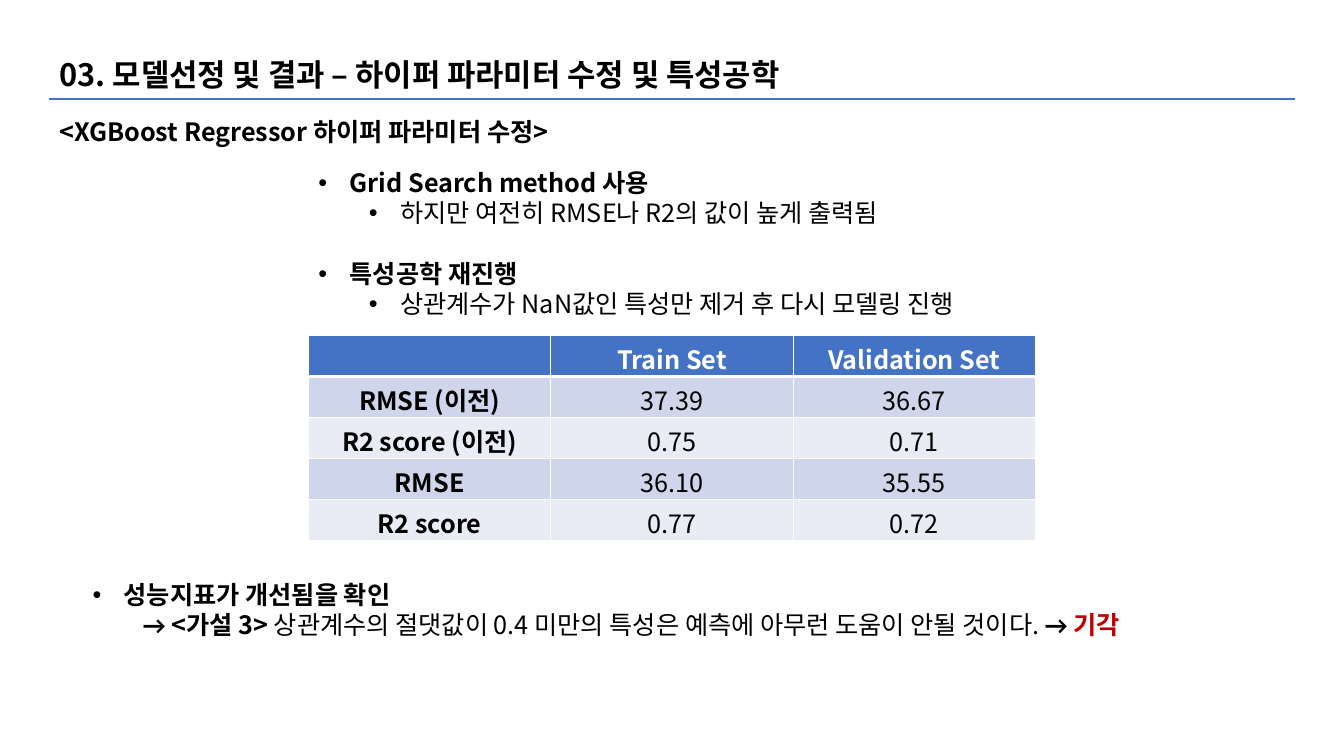
from pptx import Presentation
from pptx.dml.color import RGBColor
from pptx.enum.shapes import MSO_CONNECTOR
from pptx.enum.text import MSO_ANCHOR, MSO_AUTO_SIZE, PP_ALIGN
from pptx.oxml.ns import qn
from pptx.util import Inches, Pt
from lxml.etree import SubElement

BLACK = RGBColor(0x00, 0x00, 0x00)
WHITE = RGBColor(0xFF, 0xFF, 0xFF)
BLUE = RGBColor(0x44, 0x72, 0xC4)
BAND_DARK = RGBColor(0xCF, 0xD5, 0xEA)
BAND_LIGHT = RGBColor(0xE9, 0xEB, 0xF5)
RED = RGBColor(0xC0, 0x00, 0x00)
FONT = "Noto Sans CJK KR"
ARROW_FONT = "Calibri"


def style_run(r, size=18, bold=True, color=BLACK, font=FONT):
    r.font.size = Pt(size)
    r.font.bold = bold
    r.font.color.rgb = color
    r.font.name = font
    SubElement(r._r.get_or_add_rPr(), qn("a:ea"), typeface=font)


def set_indent(p, left, hanging=0.0, bullet=False):
    pPr = p._p.get_or_add_pPr()
    pPr.set("marL", str(Inches(left)))
    pPr.set("indent", str(Inches(-hanging)))
    if bullet:
        SubElement(pPr, qn("a:buFont"), typeface="Arial")
        SubElement(pPr, qn("a:buChar"), char="•")


def add_textbox(s, box):
    tf = s.shapes.add_textbox(*map(Inches, box)).text_frame
    tf.word_wrap = True
    return tf


def add_bullet(p, text, level=0):
    p.text = text
    p.level = level
    set_indent(p, 0.31 + 0.5 * level, 0.31, bullet=True)
    style_run(p.runs[0], bold=level == 0)


def add_header(s, box, title):
    """Slide title with a rule under it."""
    left, top, width, height = box
    s.shapes.title.left, s.shapes.title.top = Inches(left), Inches(top)
    s.shapes.title.width, s.shapes.title.height = Inches(8.7), Inches(height)
    tf = s.shapes.title.text_frame
    tf.text = title
    tf.word_wrap = True
    tf.auto_size = MSO_AUTO_SIZE.NONE
    tf.vertical_anchor = MSO_ANCHOR.TOP
    tf.paragraphs[0].alignment = PP_ALIGN.LEFT
    style_run(tf.paragraphs[0].runs[0], size=22)

    y = Inches(top + height + 0.01)
    rule = s.shapes.add_connector(MSO_CONNECTOR.STRAIGHT, Inches(left), y,
                                  Inches(left + width), y)
    rule.line.color.rgb = BLUE
    rule.line.width = Pt(1.5)
    SubElement(rule._element.spPr, qn("a:effectLst"))


def add_subtitle(s, box, text):
    p = add_textbox(s, box).paragraphs[0]
    p.text = text
    style_run(p.runs[0])


def add_steps(s, box, steps):
    """Bold steps, each with one detail below."""
    tf = add_textbox(s, box)
    for i, (step, detail) in enumerate(steps):
        p = tf.add_paragraph() if i else tf.paragraphs[0]
        add_bullet(p, step)
        if i:
            p.space_before = Pt(21.9)
        add_bullet(tf.add_paragraph(), detail, level=1)


def format_cell(cell, fill, bottom):
    tcPr = cell._tc.get_or_add_tcPr()
    for side, width in (("L", 1), ("R", 1), ("T", 1), ("B", bottom)):
        ln = SubElement(tcPr, qn(f"a:ln{side}"), w=str(Pt(width)))
        solid = SubElement(ln, qn("a:solidFill"))
        SubElement(solid, qn("a:srgbClr"), val=str(WHITE))
    cell.fill.solid()
    cell.fill.fore_color.rgb = fill


def add_score_table(s, box, rows):
    shape = s.shapes.add_table(len(rows), len(rows[0]), *map(Inches, box))
    for i, row in enumerate(rows):
        header = i == 0
        fill = BLUE if header else (BAND_LIGHT, BAND_DARK)[i % 2]
        for j, text in enumerate(row):
            cell = shape.table.cell(i, j)
            format_cell(cell, fill, bottom=3 if header else 1)
            if text:
                p = cell.text_frame.paragraphs[0]
                p.text = text
                p.alignment = PP_ALIGN.CENTER
                style_run(p.runs[0], bold=header or j == 0,
                          color=WHITE if header else BLACK)


def add_conclusion(s, box, finding, parts):
    """Finding, then the hypothesis and its verdict in mixed formats."""
    tf = add_textbox(s, box)
    add_bullet(tf.paragraphs[0], finding)
    p = tf.add_paragraph()
    p.level = 1
    set_indent(p, 0.5)
    for text, formats in parts:
        r = p.add_run()
        r.text = text
        style_run(r, **formats)


prs = Presentation()
prs.slide_width, prs.slide_height = Inches(13.33), Inches(7.5)
s = prs.slides.add_slide(prs.slide_layouts[5])

add_header(s, (0.49, 0.5, 12.35, 0.47),
           "03. 모델선정 및 결과 – 하이퍼 파라미터 수정 및 특성공학")
add_subtitle(s, (0.49, 1.1, 6.52, 0.4),
             "<XGBoost Regressor 하이퍼 파라미터 수정>")
add_steps(s, (3.06, 1.61, 7.21, 1.62), [
    ("Grid Search method 사용", "하지만 여전히 RMSE나 R2의 값이 높게 출력됨"),
    ("특성공학 재진행", "상관계수가 NaN값인 특성만 제거 후 다시 모델링 진행"),
])
add_score_table(s, (3.06, 3.33, 7.21, 2.03), [
    ("", "Train Set", "Validation Set"),
    ("RMSE (이전)", "37.39", "36.67"),
    ("R2 score (이전)", "0.75", "0.71"),
    ("RMSE", "36.10", "35.55"),
    ("R2 score", "0.77", "0.72"),
])
add_conclusion(s, (0.82, 5.7, 11.7, 0.71), "성능지표가 개선됨을 확인", [
    ("→ ", {"font": ARROW_FONT}),
    ("<가설 3> ", {}),
    ("상관계수의 절댓값이 0.4 미만의 특성은 예측에 아무런 도움이 안될 것이다. ",
     {"bold": False}),
    ("→ ", {"font": ARROW_FONT}),
    ("기각", {"color": RED}),
])

prs.save("out.pptx")
